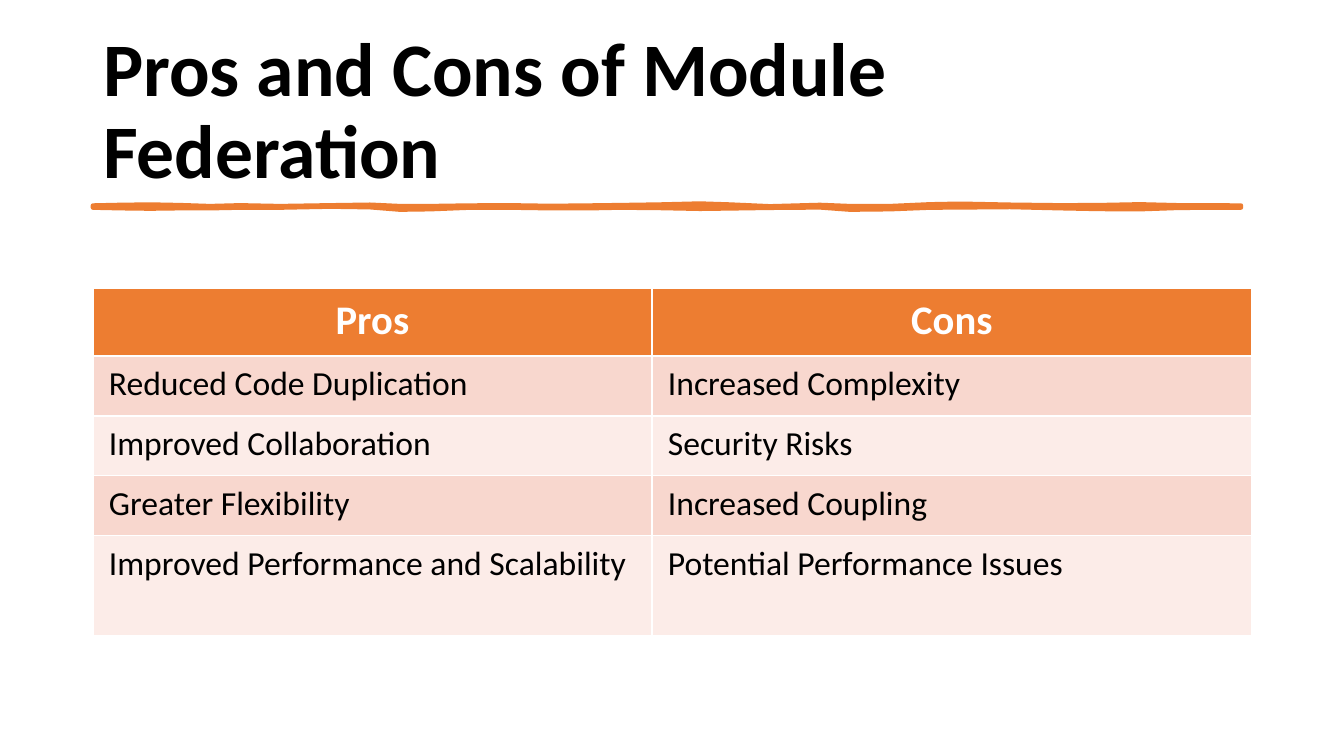
from pptx import Presentation
from pptx import util as u
from pptx.dml.color import RGBColor
from pptx.enum import text

# Content
TITLE = "Pros and Cons of Module Federation"
HEADINGS = ("Pros", "Cons")
POINTS = [
    ("Reduced Code Duplication", "Increased Complexity"),
    ("Improved Collaboration", "Security Risks"),
    ("Greater Flexibility", "Increased Coupling"),
    ("Improved Performance and Scalability", "Potential Performance Issues"),
]

# Hand-drawn rule: x in px, upper and lower edge in tenths of a px
RULE = [
    (93, 2056, 2076), (120, 2050, 2082), (150, 2046, 2086), (180, 2052, 2082),
    (210, 2062, 2082), (240, 2054, 2076), (280, 2062, 2076), (330, 2054, 2066),
    (370, 2048, 2072), (400, 2062, 2096), (430, 2062, 2092), (470, 2056, 2076),
    (510, 2054, 2076), (550, 2060, 2082), (590, 2056, 2082), (620, 2052, 2076),
    (660, 2046, 2080), (700, 2036, 2088), (730, 2046, 2084), (770, 2064, 2078),
    (820, 2050, 2074), (850, 2062, 2096), (890, 2062, 2092), (930, 2044, 2076),
    (960, 2038, 2074), (1010, 2048, 2070), (1060, 2054, 2082),
    (1100, 2052, 2090), (1140, 2044, 2092), (1180, 2054, 2078), (1241, 2056, 2076),
]

# Colours and formats
ORANGE = RGBColor(0xED, 0x7D, 0x31)
ROSE = RGBColor(0xF8, 0xD7, 0xCE)
PALE = RGBColor(0xFC, 0xEC, 0xE8)
BLACK = RGBColor(0, 0, 0)
WHITE = RGBColor(0xFF, 0xFF, 0xFF)
TITLE_FONT = {"name": "Calibri", "size": u.Pt(54), "bold": True}
HEADING_FONT = {"name": "Calibri", "size": u.Pt(29), "bold": True}
POINT_FONT = {"name": "Calibri", "size": u.Pt(24), "bold": False}

# Layout in px
PX = 914400 / 100.8
SLIDE = (1344, 756)
LEFT, TITLE_TOP, TITLE_HEIGHT, TABLE_TOP = 93, 40, 146, 288
COLUMNS = (559, 600)
ROWS = (68, 60, 60, 60, 100)
MARGIN_X, MARGIN_Y = 16, 8


def px(length):
    return u.Emu(round(length * PX))


def apply(target, values):
    for key, value in values.items():
        setattr(target, key, value)


def style(paragraph, font, colour, **layout):
    apply(paragraph.font, font)
    paragraph.font.color.rgb = colour
    apply(paragraph, layout)


def add_title(slide):
    title = slide.shapes.title
    apply(title, {"left": px(LEFT), "top": px(TITLE_TOP),
                  "width": px(sum(COLUMNS)), "height": px(TITLE_HEIGHT)})
    title.text = TITLE
    apply(title.text_frame, {"word_wrap": True, "auto_size": text.MSO_AUTO_SIZE.NONE,
                             "vertical_anchor": text.MSO_ANCHOR.MIDDLE})
    style(title.text_frame.paragraphs[0], TITLE_FONT, BLACK,
          alignment=text.PP_ALIGN.LEFT, line_spacing=0.9)


def add_rule(slide):
    upper = [(x * 10, top) for x, top, _ in RULE]
    lower = [(x * 10, bottom) for x, _, bottom in reversed(RULE)]
    outline = slide.shapes.build_freeform(*upper[0], scale=PX / 10)
    outline.add_line_segments(upper[1:] + lower, close=True)
    rule = outline.convert_to_shape()
    rule.shadow.inherit = False
    for paint in (rule.fill, rule.line.fill):
        paint.solid()
        paint.fore_color.rgb = ORANGE
    rule.line.width = u.Pt(3.25)


def add_comparison(slide):
    comparison = slide.shapes.add_table(
        len(ROWS), len(COLUMNS), px(LEFT), px(TABLE_TOP),
        px(sum(COLUMNS)), px(sum(ROWS))).table
    for column, width in zip(comparison.columns, COLUMNS):
        column.width = px(width)
    for row, height in zip(comparison.rows, ROWS):
        row.height = px(height)
    for r, entries in enumerate([HEADINGS, *POINTS]):
        for c, entry in enumerate(entries):
            cell = comparison.cell(r, c)
            cell.text = entry
            apply(cell, {"margin_left": px(MARGIN_X), "margin_right": px(MARGIN_X),
                         "margin_top": px(MARGIN_Y), "margin_bottom": px(MARGIN_Y)})
            cell.fill.solid()
            paragraph = cell.text_frame.paragraphs[0]
            if r == 0:
                cell.fill.fore_color.rgb = ORANGE
                style(paragraph, HEADING_FONT, WHITE, alignment=text.PP_ALIGN.CENTER)
            else:
                cell.fill.fore_color.rgb = ROSE if r % 2 else PALE
                style(paragraph, POINT_FONT, BLACK)


def main():
    deck = Presentation()
    deck.slide_width, deck.slide_height = map(px, SLIDE)
    slide = deck.slides.add_slide(deck.slide_layouts[5])
    add_title(slide)
    add_rule(slide)
    add_comparison(slide)
    deck.save("out.pptx")


if __name__ == "__main__":
    main()
